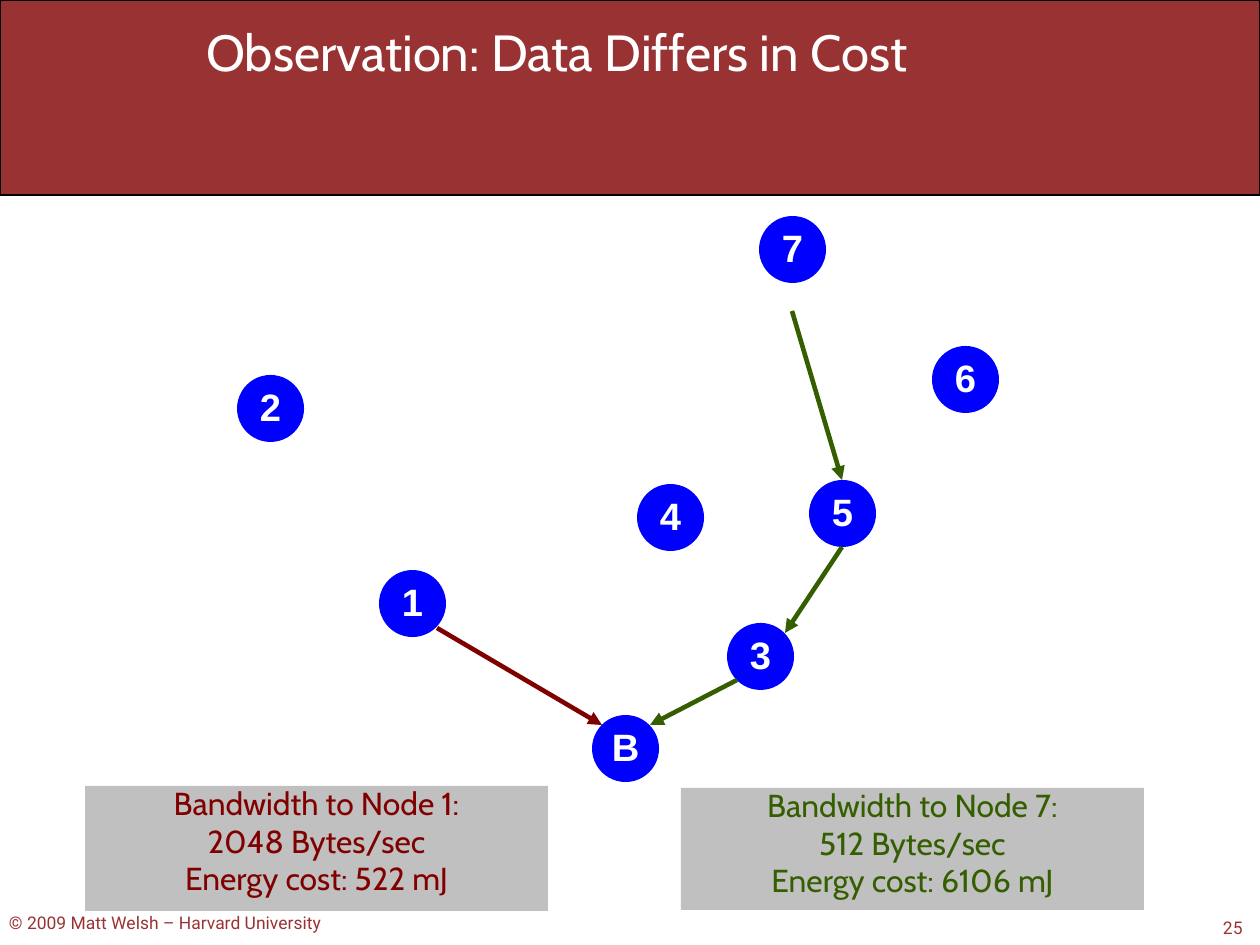
from dataclasses import dataclass

from pptx import Presentation
from pptx import util as u
from pptx.dml import color
from pptx.enum import shapes, text
from pptx.oxml import ns
from lxml import etree

SCALE = 8000
DISC = 67


@dataclass(frozen=True)
class Font:
    face: str
    size: int
    tint: str
    bold: bool = False


@dataclass(frozen=True)
class Theme:
    red: str = "993333"
    maroon: str = "800000"
    green: str = "355E00"
    blue: str = "0000FF"
    gray: str = "C0C0C0"
    black: str = "000000"
    white: str = "FFFFFF"
    title: int = 32
    node: int = 24
    body: int = 20
    foot: int = 11
    edge: float = 0.75
    arrow: float = 2.89
    lead: float = 0.98


@dataclass(frozen=True)
class Box:
    x: int
    y: int
    w: int
    h: int


@dataclass(frozen=True)
class Node:
    name: str
    x: int
    y: int


@dataclass(frozen=True)
class Arrow:
    x1: int
    y1: int
    x2: int
    y2: int
    tint: str


@dataclass(frozen=True)
class Panel:
    box: Box
    tint: str
    paras: tuple[str, ...]


@dataclass(frozen=True)
class Label:
    box: Box
    words: str
    font: Font
    wrap: bool = False
    align: text.PP_ALIGN = text.PP_ALIGN.LEFT
    anchor: text.MSO_ANCHOR = text.MSO_ANCHOR.TOP


THEME = Theme()
FOOT = Font("Roboto", THEME.foot, THEME.red)

LABELS = (
    Label(Box(9, 912, 344, 22), "© 2009 Matt Welsh – Harvard University", FOOT),
    Label(Box(1223, 917, 80, 22), "25", FOOT),
    Label(Box(19, 22, 1076, 59), "Observation: Data Differs in Cost",
          Font("Cabin", THEME.title, THEME.white), True,
          text.PP_ALIGN.CENTER, text.MSO_ANCHOR.MIDDLE),
)
NODES = (
    Node("B", 592, 715),
    Node("3", 727, 623),
    Node("4", 637, 484),
    Node("5", 809, 480),
    Node("6", 932, 346),
    Node("7", 759, 216),
    Node("1", 379, 570),
    Node("2", 237, 375),
)
ARROWS = (
    Arrow(437, 628, 602, 725, THEME.maroon),
    Arrow(792, 311, 842, 480, THEME.green),
    Arrow(842, 547, 785, 633, THEME.green),
    Arrow(737, 680, 650, 725, THEME.green),
)
PANELS = (
    Panel(Box(85, 786, 463, 125), THEME.maroon,
          ("Bandwidth to Node 1:", "2048 Bytes/sec\nEnergy cost: 522 mJ")),
    Panel(Box(681, 788, 463, 122), THEME.green,
          ("Bandwidth to Node 7:", "512 Bytes/sec", "Energy cost: 6106 mJ")),
)


def px(size: int) -> u.Emu:
    return u.Emu(size * SCALE)


def place(box: Box) -> tuple[u.Emu, ...]:
    return px(box.x), px(box.y), px(box.w), px(box.h)


def rgb(tint: str) -> color.RGBColor:
    return color.RGBColor.from_string(tint)


def write(shape, paras: tuple[str, ...], font: Font, wrap: bool,
          align: text.PP_ALIGN, anchor: text.MSO_ANCHOR, lead: float = 1.0) -> None:
    frame = shape.text_frame
    frame.word_wrap = wrap
    frame.vertical_anchor = anchor
    frame.margin_left = frame.margin_right = 0
    frame.margin_top = frame.margin_bottom = 0
    for spot, words in enumerate(paras):
        para = frame.add_paragraph() if spot else frame.paragraphs[0]
        para.alignment = align
        para.line_spacing = lead
        for row, line in enumerate(words.split("\n")):
            if row:
                para.add_line_break()
            run = para.add_run()
            run.text = line
            run.font.name = font.face
            run.font.size = u.Pt(font.size)
            run.font.bold = font.bold
            run.font.color.rgb = rgb(font.tint)


def add_block(slide, kind: shapes.MSO_SHAPE, box: Box, fill: str):
    shape = slide.shapes.add_shape(kind, *place(box))
    shape.shadow.inherit = False
    shape.fill.solid()
    shape.fill.fore_color.rgb = rgb(fill)
    shape.line.fill.background()
    return shape


def add_banner(slide) -> None:
    band = add_block(slide, shapes.MSO_SHAPE.ROUNDED_RECTANGLE,
                     Box(0, 0, 1260, 195), THEME.red)
    band.adjustments[0] = 0
    band.line.color.rgb = rgb(THEME.black)
    band.line.width = u.Pt(THEME.edge)


def add_label(slide, label: Label) -> None:
    shape = slide.shapes.add_textbox(*place(label.box))
    write(shape, (label.words,), label.font, label.wrap, label.align, label.anchor)


def add_node(slide, node: Node) -> None:
    disc = add_block(slide, shapes.MSO_SHAPE.OVAL,
                     Box(node.x, node.y, DISC, DISC), THEME.blue)
    write(disc, (node.name,), Font("Arial", THEME.node, THEME.white, True), False,
          text.PP_ALIGN.CENTER, text.MSO_ANCHOR.MIDDLE, THEME.lead)


def add_arrow(slide, arrow: Arrow) -> None:
    link = slide.shapes.add_connector(
        shapes.MSO_CONNECTOR.STRAIGHT,
        px(arrow.x1), px(arrow.y1), px(arrow.x2), px(arrow.y2))
    link.line.color.rgb = rgb(arrow.tint)
    link.line.width = u.Pt(THEME.arrow)
    shape = link._element.spPr
    etree.SubElement(shape.find(ns.qn("a:ln")), ns.qn("a:tailEnd"), type="triangle")
    etree.SubElement(shape, ns.qn("a:effectLst"))


def add_panel(slide, panel: Panel) -> None:
    shape = add_block(slide, shapes.MSO_SHAPE.RECTANGLE, panel.box, THEME.gray)
    write(shape, panel.paras, Font("Cabin", THEME.body, panel.tint), True,
          text.PP_ALIGN.CENTER, text.MSO_ANCHOR.TOP, THEME.lead)


def main() -> None:
    deck = Presentation()
    deck.slide_width, deck.slide_height = px(1260), px(945)
    slide = deck.slides.add_slide(deck.slide_layouts[6])
    add_banner(slide)
    for label in LABELS:
        add_label(slide, label)
    for node in NODES:
        add_node(slide, node)
    for arrow in ARROWS:
        add_arrow(slide, arrow)
    for panel in PANELS:
        add_panel(slide, panel)
    deck.save("out.pptx")


if __name__ == "__main__":
    main()
